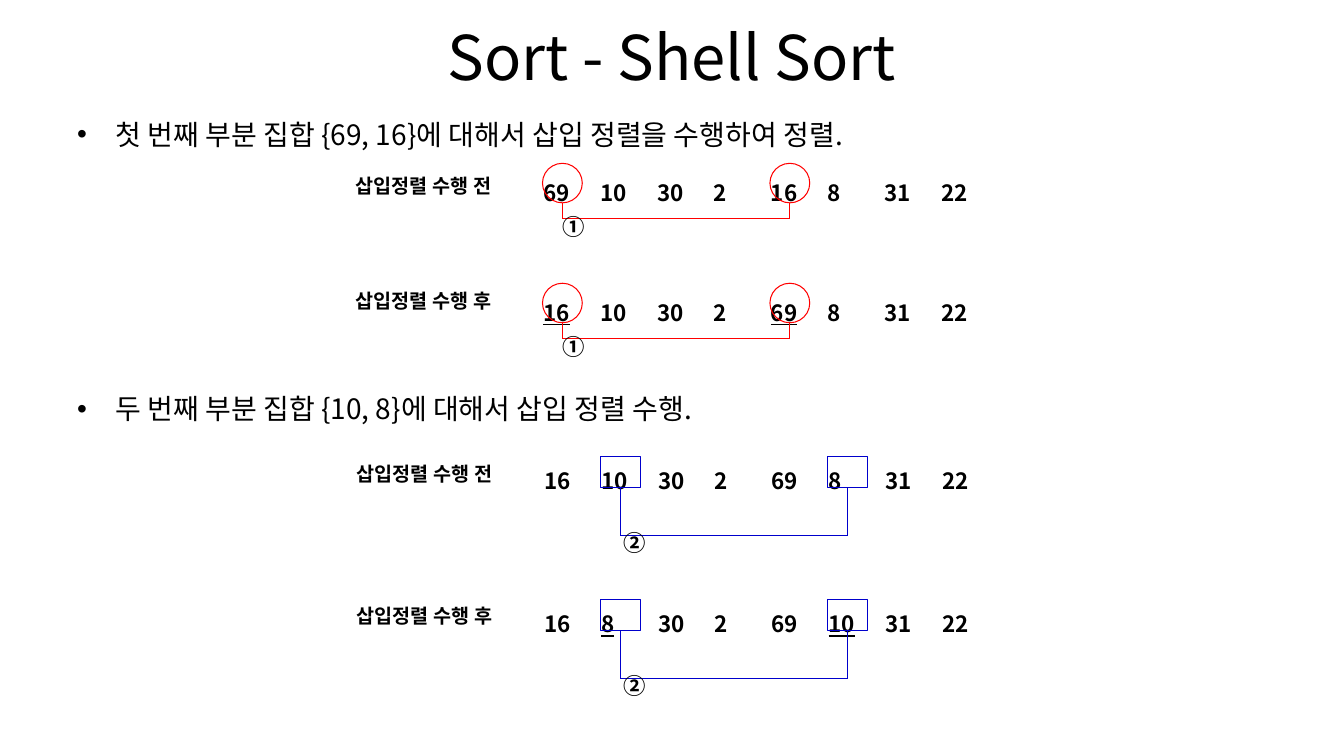
from collections import namedtuple
from lxml import etree
from pptx import Presentation
from pptx.dml.color import RGBColor
from pptx.enum.shapes import MSO_CONNECTOR, MSO_SHAPE
from pptx.enum.text import MSO_ANCHOR, MSO_AUTO_SIZE, PP_ALIGN
from pptx.oxml.ns import qn
from pptx.util import Inches, Pt

BLACK = RGBColor(0, 0, 0)
WHITE = RGBColor(255, 255, 255)
RED = RGBColor(255, 0, 0)
BLUE = RGBColor(0, 0, 0xCC)
FONT = "Noto Sans CJK KR"

WIDTH, HEIGHT = 13.33, 7.5
MARGIN = WIDTH * 0.05
COL, ROW = 0.564, 0.37  # grid of one number row

# Lengths: height and drop in rows, number_shift in columns
MarkStyle = namedtuple("MarkStyle", "shape color top height drop number number_shift")
CIRCLE = MarkStyle(MSO_SHAPE.OVAL, RED, -0.08, 1.06, 0.43, "①", -0.18)
SQUARE = MarkStyle(MSO_SHAPE.RECTANGLE, BLUE, 0.05, 0.84, 1.27, "②", -0.11)


def style_text(para, size, bold=False, underline=False):
    for span in para.runs:
        font = span.font
        font.size, font.bold, font.name = Pt(size), bold, FONT
        font.color.rgb = BLACK
        if underline:
            font.underline = True
        latin = font._element.find(qn("a:latin"))
        east_asian = etree.Element(qn("a:ea"), typeface=FONT)
        latin.addnext(east_asian)


def add_text(page, text, left, top, width, height, size, bold=False, wrap=False):
    box = page.shapes.add_textbox(*map(Inches, (left, top, width, height)))
    frame = box.text_frame
    frame.text = text
    frame.word_wrap = wrap
    frame.auto_size = MSO_AUTO_SIZE.NONE if wrap else MSO_AUTO_SIZE.SHAPE_TO_FIT_TEXT
    style_text(frame.paragraphs[0], size, bold)
    return box


def add_title(page, text):
    box = add_text(page, text, MARGIN, 0.13, WIDTH * 0.9, 0.85, 44, wrap=True)
    box.text_frame.vertical_anchor = MSO_ANCHOR.MIDDLE
    box.text_frame.paragraphs[0].alignment = PP_ALIGN.CENTER


def add_bullet(page, text, top):
    box = add_text(page, text, MARGIN, top, WIDTH * 0.9, 0.5, 20, wrap=True)
    para = box.text_frame.paragraphs[0]
    para.line_spacing = 0.9
    props = para._p.get_or_add_pPr()
    props.set("marL", str(Inches(0.38)))
    props.set("indent", str(Inches(-0.38)))
    etree.SubElement(props, qn("a:buFont"), typeface="Arial")
    etree.SubElement(props, qn("a:buChar"), char="•")


def add_numbers(page, values, underlined, left, top):
    frame = page.shapes.add_table(1, len(values), Inches(left), Inches(top),
                                  Inches(COL * len(values)), Inches(ROW))
    table = frame.table
    table.first_row = table.horz_banding = False
    for index, value in enumerate(values):
        cell = table.cell(0, index)
        cell.text = str(value)
        cell.fill.solid()
        cell.fill.fore_color.rgb = WHITE
        cell.vertical_anchor = MSO_ANCHOR.MIDDLE
        cell.margin_top = Inches(0.09)
        style_text(cell.text_frame.paragraphs[0], 16, True, index in underlined)


def add_mark(page, style, left, top):
    mark = page.shapes.add_shape(style.shape, Inches(left), Inches(top),
                                 Inches(COL * 0.7), Inches(ROW * style.height))
    mark.shadow.inherit = False
    mark.fill.background()
    mark.line.color.rgb = style.color
    mark.line.width = Pt(0.75)
    return mark


def add_line(page, color, *ends):
    line = page.shapes.add_connector(MSO_CONNECTOR.STRAIGHT, *ends)
    line.line.color.rgb = color
    line.line.width = Pt(0.75)
    etree.SubElement(line._element.spPr, qn("a:effectLst"))
    return line


def add_step(page, label, values, pair, style, left, top, label_top, swapped):
    """One row of numbers with its label and the compared pair bracketed."""
    add_numbers(page, values, pair if swapped else (), left, top)
    marks = [add_mark(page, style, left + COL * (index + 0.16), top + ROW * style.top)
             for index in pair]

    # Bracket below the pair
    centers = [mark.left + mark.width // 2 for mark in marks]
    edge = marks[0].top + marks[0].height
    bottom = edge + Inches(ROW * style.drop)
    for mark, center in zip(marks, centers):
        leg = add_line(page, style.color, center, edge, center, bottom)
        if style.shape == MSO_SHAPE.RECTANGLE:
            leg.begin_connect(mark, 2)
    add_line(page, style.color, centers[0], bottom, centers[1], bottom)

    # Number of the subset and label of the row
    add_text(page, style.number, centers[0] / Inches(1) + COL * style.number_shift,
             bottom / Inches(1) - ROW * 0.29, 0.43, ROW, 16, True)
    add_text(page, label, left - 1.86, label_top, 1.71, 0.34, 14, True)


def add_section(page, text, text_top, left, style, pair, steps):
    add_bullet(page, text, text_top)
    for swapped, (label, values, top, label_top) in enumerate(steps):
        add_step(page, label, values, pair, style, left, top, label_top, swapped)


def main():
    deck = Presentation()
    deck.slide_width, deck.slide_height = Inches(WIDTH), Inches(HEIGHT)
    page = deck.slides.add_slide(deck.slide_layouts[6])
    before, after = "삽입정렬 수행 전", "삽입정렬 수행 후"
    first_sorted = (16, 10, 30, 2, 69, 8, 31, 22)

    add_title(page, "Sort - Shell Sort")
    add_section(page, "첫 번째 부분 집합 {69, 16}에 대해서 삽입 정렬을 수행하여 정렬.",
                1.15, 5.29, CIRCLE, (0, 4), [
                    (before, (69, 10, 30, 2, 16, 8, 31, 22), 1.65, 1.68),
                    (after, first_sorted, 2.84, 2.82)])
    add_section(page, "두 번째 부분 집합 {10, 8}에 대해서 삽입 정렬 수행.",
                3.87, 5.3, SQUARE, (1, 5), [
                    (before, first_sorted, 4.51, 4.53),
                    (after, (16, 8, 30, 2, 69, 10, 31, 22), 5.93, 5.94)])
    deck.save("out.pptx")


if __name__ == "__main__":
    main()
